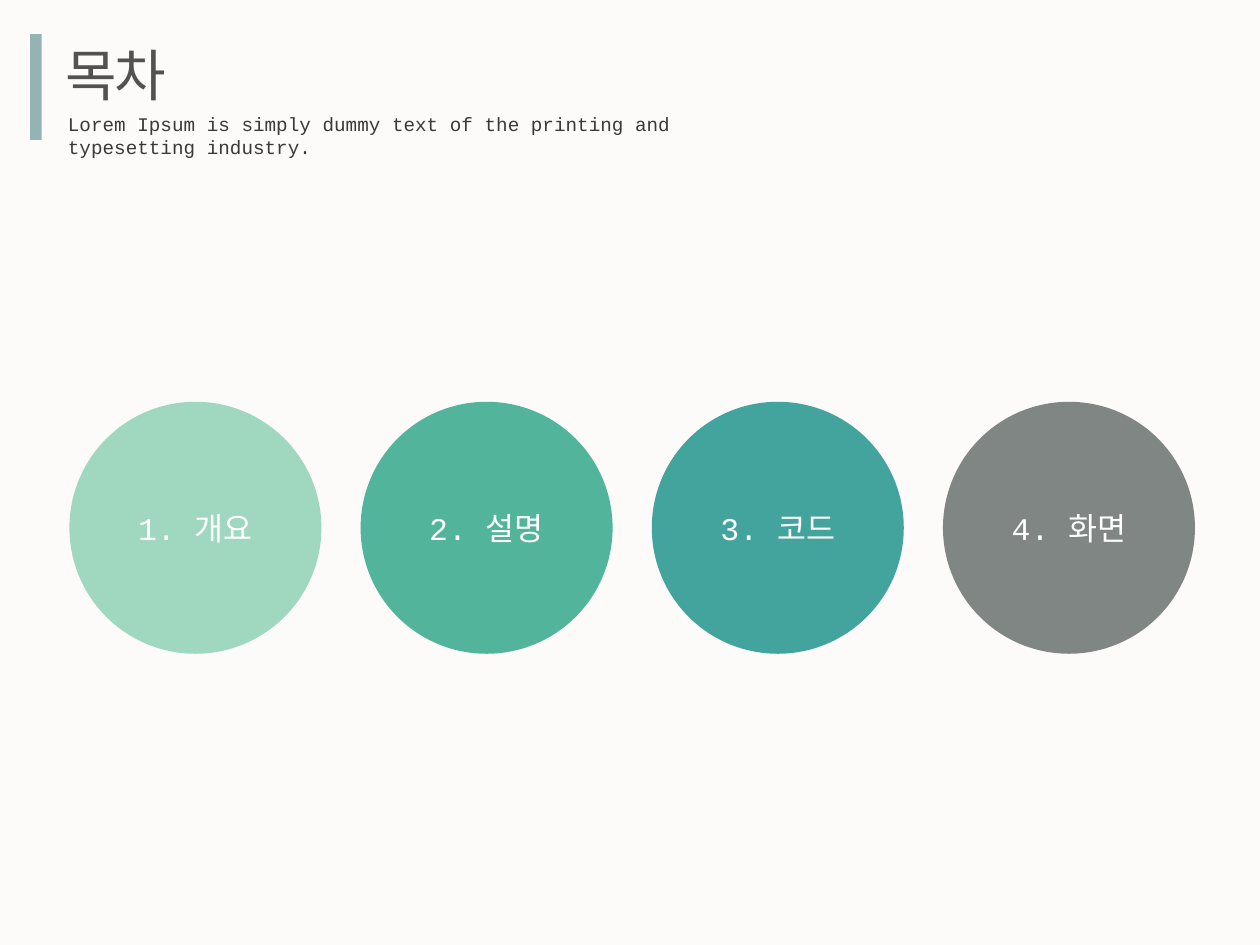
from pptx import Presentation
from pptx.dml.color import RGBColor
from pptx.enum.shapes import MSO_SHAPE as Shape
from pptx.enum.text import MSO_ANCHOR as Anchor, MSO_AUTO_SIZE as AutoSize, PP_ALIGN as Align
from pptx.oxml.ns import qn
from pptx.util import Cm, Pt
from lxml.etree import SubElement

FONT = "Courier New"
TOPICS = [
    ("1. 개요", "9FD7BF"),
    ("2. 설명", "52B49B"),
    ("3. 코드", "43A49D"),
    ("4. 화면", "808684"),
]


def paint(fill, color):
    """Give a fill one solid colour from a hex string."""
    fill.solid()
    fill.fore_color.rgb = RGBColor.from_string(color)


def write(frame, text, size, color, align=Align.LEFT, spacing=None):
    """Put one formatted paragraph in a text frame."""
    frame.text = text
    para = frame.paragraphs[0]
    para.alignment = align
    span = para.runs[0]
    span.font.size = Pt(size)
    span.font.name = FONT
    paint(span.font.fill, color)
    properties = span.font._element
    SubElement(properties, qn("a:ea")).set("typeface", FONT)
    if spacing is not None:
        properties.set("spc", str(int(spacing * 100)))


def add_block(page, kind, left, top, width, height, color):
    """Add a flat filled shape without an outline."""
    block = page.shapes.add_shape(kind, Cm(left), Cm(top), Cm(width), Cm(height))
    block.shadow.inherit = False
    block.line.fill.background()
    paint(block.fill, color)
    return block


def add_label(page, left, top, width, height, text, size, color, wrap, spacing=None):
    """Add a text box that grows with its text."""
    box = page.shapes.add_textbox(Cm(left), Cm(top), Cm(width), Cm(height))
    frame = box.text_frame
    frame.word_wrap = wrap
    frame.auto_size = AutoSize.SHAPE_TO_FIT_TEXT
    write(frame, text, size, color, spacing=spacing)


def add_topic_circles(page, left=1.4, top=8.1, diameter=5.08, step=5.87):
    """Add the evenly spaced row of agenda circles."""
    for index, (topic, color) in enumerate(TOPICS):
        circle = add_block(page, Shape.OVAL, left + index * step, top, diameter, diameter, color)
        circle.text_frame.vertical_anchor = Anchor.MIDDLE
        write(circle.text_frame, topic, 18, "FFFFFF", Align.CENTER)


def main():
    """Build and save the agenda slide."""
    deck = Presentation()
    deck.slide_width, deck.slide_height = Cm(25.4), Cm(19.05)
    page = deck.slides.add_slide(deck.slide_layouts[6])
    paint(page.background.fill, "FCFBFA")
    add_label(page, 1.07, 0.69, 2.69, 1.63, "목차", 32, "525252", False, -1.5)
    add_topic_circles(page)
    add_block(page, Shape.RECTANGLE, 0.61, 0.69, 0.23, 2.13, "94B4B3")
    add_label(page, 1.12, 2.13, 13.92, 0.74,
              "Lorem Ipsum is simply dummy text of the printing and typesetting industry.",
              11, "3A3838", True)
    deck.save("out.pptx")


if __name__ == "__main__":
    main()
